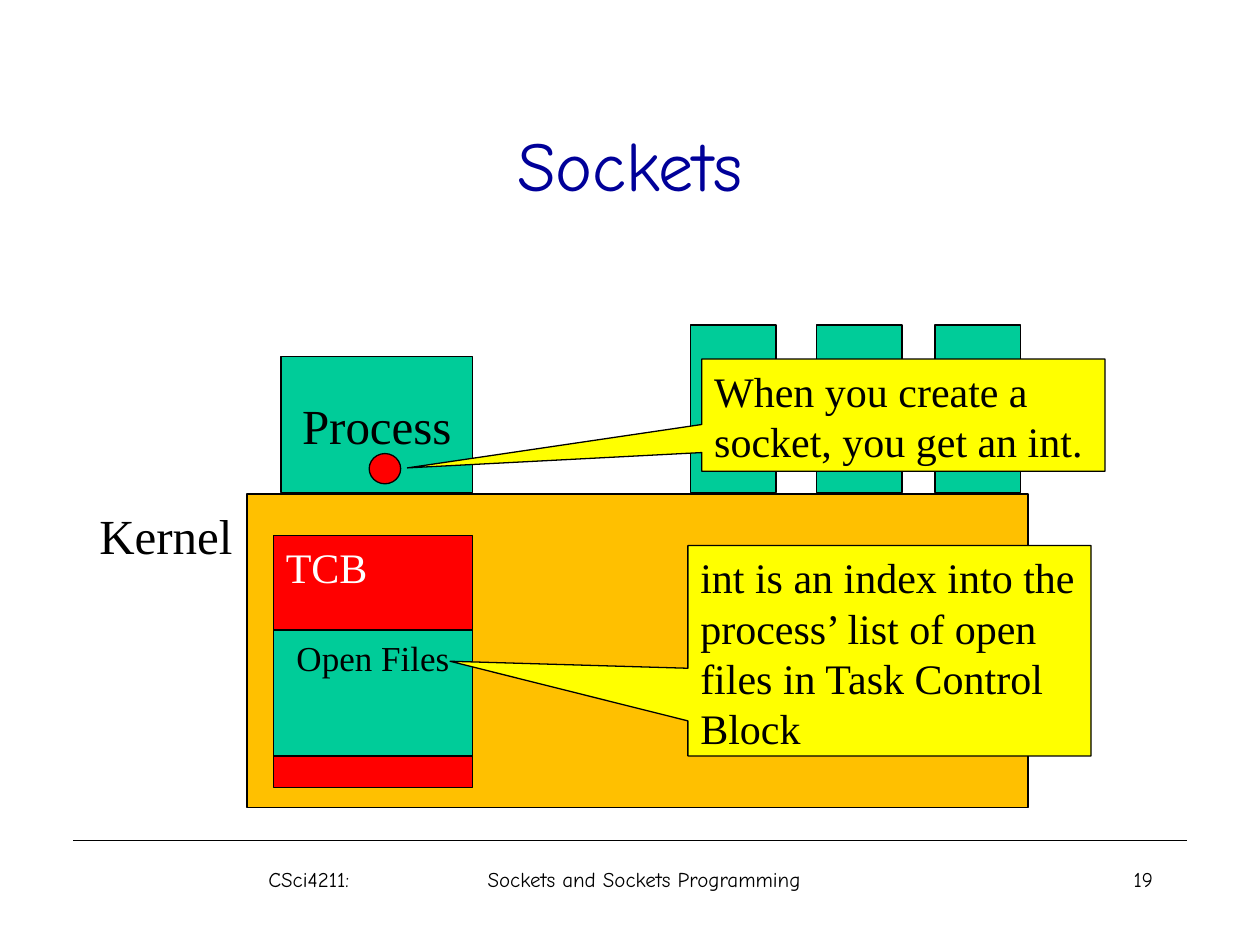
"""Build the slide that shows how a process, the kernel and a socket relate."""
from lxml import etree
from pptx import Presentation
from pptx.dml.color import RGBColor
from pptx.enum.shapes import MSO_CONNECTOR, MSO_SHAPE
from pptx.enum.text import MSO_ANCHOR, MSO_AUTO_SIZE, PP_ALIGN
from pptx.oxml.ns import qn
from pptx.util import Inches, Pt

RECT, OVAL, CALLOUT = MSO_SHAPE.RECTANGLE, MSO_SHAPE.OVAL, MSO_SHAPE.RECTANGULAR_CALLOUT
LEFT, CENTER, RIGHT = PP_ALIGN.LEFT, PP_ALIGN.CENTER, PP_ALIGN.RIGHT
TOP, MIDDLE = MSO_ANCHOR.TOP, MSO_ANCHOR.MIDDLE
COLORS = {"black": "000000", "white": "FFFFFF", "navy": "000099", "green": "00CC99",
          "red": "FF0000", "orange": "FFC000", "yellow": "FFFF00"}
HEADING_FONT, BODY_FONT = "Comic Neue", "Times New Roman"

TITLE, KERNEL, PAGE = "Sockets", "Kernel", "19"
FOOTER = "CSci4211:\tSockets and Sockets Programming"
FOOTER_TAB = 1.74
PROCESS = ("Process", 28, "black", CENTER, MIDDLE)
TCB = ("TCB", 24, "white", LEFT, TOP)
OPEN_FILES = ("Open Files", 20, "black", CENTER, TOP)
SOCKET_NOTE = ("When you create a socket, you get an int.", 24, "black", LEFT, TOP)
INDEX_NOTE = ("int is an index into the process’ list of open files in Task Control Block",
              24, "black", LEFT, TOP)
OTHER_PROCESSES = [(RECT, (left, 2.58, 0.68, 1.33), "green", None, None)
                   for left in (7.42, 6.48, 5.48)]
DIAGRAM = [
    (RECT, (2.23, 2.83, 1.52, 1.08), "green", PROCESS, None),
    (OVAL, (2.93, 3.6, 0.25, 0.24), "red", None, None),
    (RECT, (1.96, 3.92, 6.2, 2.49), "orange", None, None),
    *OTHER_PROCESSES,
    (CALLOUT, (5.57, 2.85, 3.2, 0.89), "yellow", SOCKET_NOTE, (-1.23, 0.47)),
    (RECT, (2.17, 4.25, 1.58, 2), "red", TCB, None),
    (RECT, (2.17, 5, 1.58, 1), "green", OPEN_FILES, None),
    (CALLOUT, (5.46, 4.33, 3.2, 1.67), "yellow", INDEX_NOTE, (-1.09, 0.05)),
]


def rgb(name):
    return RGBColor.from_string(COLORS[name])


def write(frame, text, size, color, align, anchor, font=BODY_FONT):
    frame.word_wrap = True
    frame.vertical_anchor = anchor
    paragraph = frame.paragraphs[0]
    paragraph.text = text
    paragraph.alignment = align
    for run in paragraph.runs:
        run.font.size = Pt(size)
        run.font.name = font
        run.font.color.rgb = rgb(color)


def add_label(slide, box, *style):
    frame = slide.shapes.add_textbox(*map(Inches, box)).text_frame
    write(frame, *style)
    return frame


def add_block(slide, kind, box, fill, style, tip):
    block = slide.shapes.add_shape(kind, *map(Inches, box))
    block.shadow.inherit = False
    block.fill.solid()
    block.fill.fore_color.rgb = rgb(fill)
    block.line.color.rgb = rgb("black")
    block.line.width = Pt(0.75)
    if tip:
        block.adjustments[0], block.adjustments[1] = tip
    if style:
        write(block.text_frame, *style)


def add_footer(slide):
    rule = slide.shapes.add_connector(MSO_CONNECTOR.STRAIGHT, Inches(0.58), Inches(6.67),
                                      Inches(9.42), Inches(6.67))
    rule.line.color.rgb = rgb("black")
    rule.line.width = Pt(0.75)
    etree.SubElement(rule.line._get_or_add_ln().getparent(), qn("a:effectLst"))
    add_label(slide, (7.17, 6.83, 2.08, 0.5), PAGE, 12, "black", RIGHT, TOP, HEADING_FONT)
    footer = add_label(slide, (1.92, 6.83, 4.67, 0.5), FOOTER, 12, "black", LEFT, TOP, HEADING_FONT)
    footer.margin_left = Inches(0.21)
    tabs = etree.SubElement(footer.paragraphs[0]._p.get_or_add_pPr(), qn("a:tabLst"))
    etree.SubElement(tabs, qn("a:tab"), pos=str(Inches(FOOTER_TAB)), algn="l")


def main():
    deck = Presentation()
    deck.slide_width, deck.slide_height = Inches(10), Inches(7.5)
    slide = deck.slides.add_slide(deck.slide_layouts[6])
    add_footer(slide)
    add_label(slide, (0.75, 0.67, 8.5, 1.25), TITLE, 40, "navy", CENTER, MIDDLE, HEADING_FONT)
    for block in DIAGRAM:
        add_block(slide, *block)
    kernel = add_label(slide, (0.69, 3.96, 1.27, 0.57), KERNEL, 28, "black", LEFT, TOP)
    kernel.word_wrap = False
    kernel.auto_size = MSO_AUTO_SIZE.SHAPE_TO_FIT_TEXT
    deck.save("out.pptx")


if __name__ == "__main__":
    main()
